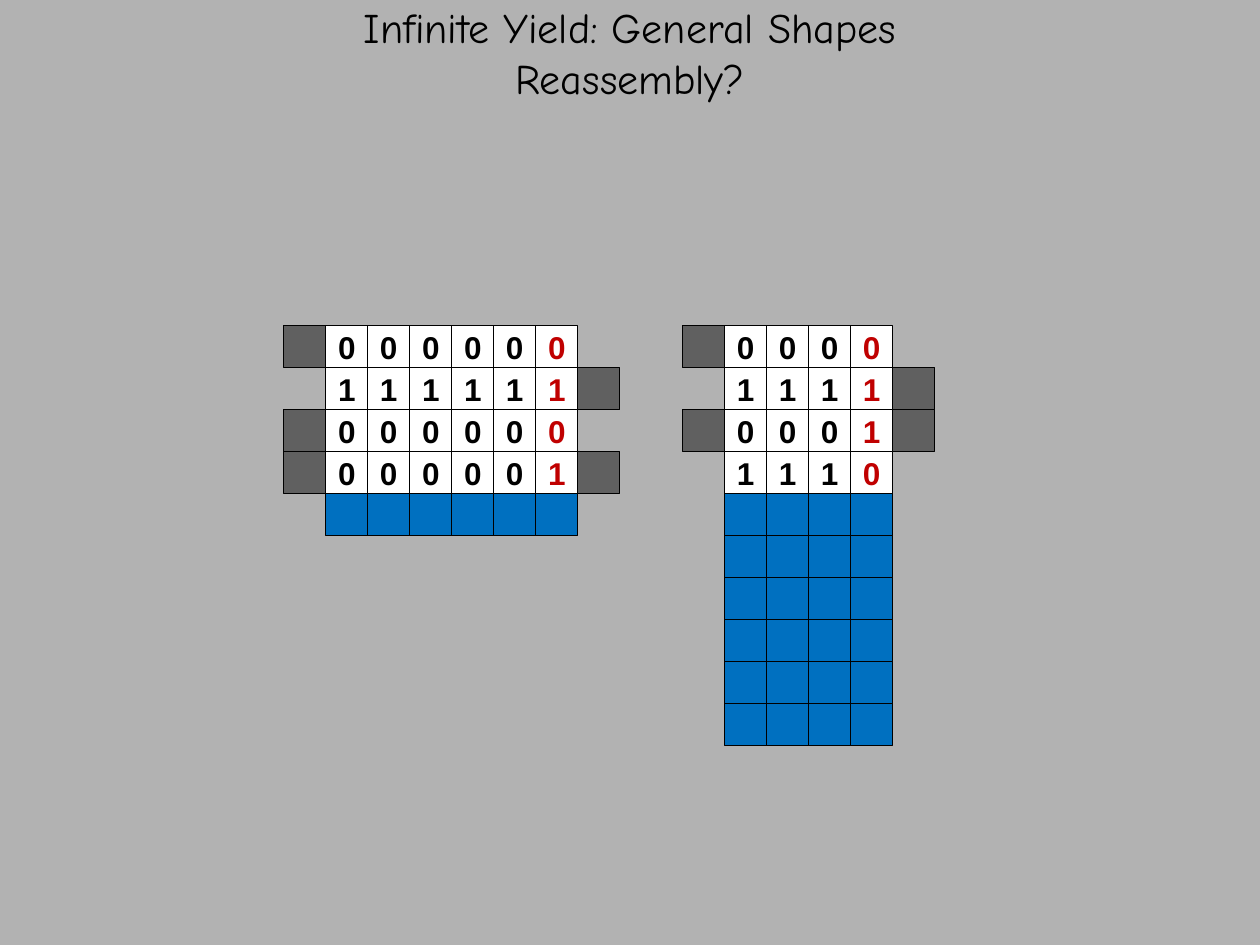
from pptx import Presentation
from pptx.dml.color import RGBColor
from pptx.enum.shapes import MSO_SHAPE
from pptx.enum.text import MSO_ANCHOR, MSO_AUTO_SIZE, PP_ALIGN
from pptx.util import Cm, Pt

SIDE = 2.54 / 3
TOP = 6.56
FILLS = {"#": "606060", "b": "0070C0", "0": "FFFFFF", "1": "FFFFFF"}
WIDE = ["#000000.", ".111111#", "#000000.", "#000001#", ".bbbbbb."]
TALL = ["#0000.", ".1111#", "#0001#", ".1110."] + [".bbbb."] * 6


def paint(fill, code):
    fill.solid()
    fill.fore_color.rgb = RGBColor.from_string(code)


def add_run(par, text, font, size, code, bold=False):
    par.alignment = PP_ALIGN.CENTER
    run = par.add_run()
    run.text = text
    run.font.name = font
    run.font.size = Pt(size)
    run.font.bold = bold
    paint(run.font.fill, code)


def add_title(slide, lines):
    title = slide.shapes.title
    title.left, title.top = Cm(0), Cm(0.2)
    title.width, title.height = Cm(25.4), Cm(1.7)
    frame = title.text_frame
    frame.word_wrap = True
    frame.auto_size = MSO_AUTO_SIZE.NONE
    frame.vertical_anchor = MSO_ANCHOR.MIDDLE
    for i, line in enumerate(lines):
        par = frame.add_paragraph() if i else frame.paragraphs[0]
        add_run(par, line, "Comic Neue", 24, "000000")


def add_cell(slide, left, top, mark, ink):
    cell = slide.shapes.add_shape(
        MSO_SHAPE.RECTANGLE, Cm(left), Cm(top), Cm(SIDE), Cm(SIDE))
    cell.shadow.inherit = False
    paint(cell.fill, FILLS[mark])
    paint(cell.line.fill, "000000")
    cell.line.width = Pt(0.75)
    if mark.isdigit():
        frame = cell.text_frame
        frame.margin_left = frame.margin_right = 0
        frame.margin_top = frame.margin_bottom = 0
        frame.vertical_anchor = MSO_ANCHOR.MIDDLE
        add_run(frame.paragraphs[0], mark, "Arial", 18, ink, True)


def add_grid(slide, left, rows):
    for r, row in enumerate(rows):
        for c, mark in enumerate(row):
            if mark != ".":
                ink = "C00000" if c == len(row) - 2 else "000000"
                add_cell(slide, left + c * SIDE, TOP + r * SIDE, mark, ink)


def main():
    deck = Presentation()
    deck.slide_width, deck.slide_height = Cm(25.4), Cm(19.05)
    slide = deck.slides.add_slide(deck.slide_layouts[5])
    paint(slide.background.fill, "B2B2B2")
    add_title(slide, ["Infinite Yield: General Shapes", "Reassembly?"])
    add_grid(slide, 13.76, TALL)
    add_grid(slide, 5.72, WIDE)
    deck.save("out.pptx")


if __name__ == "__main__":
    main()
